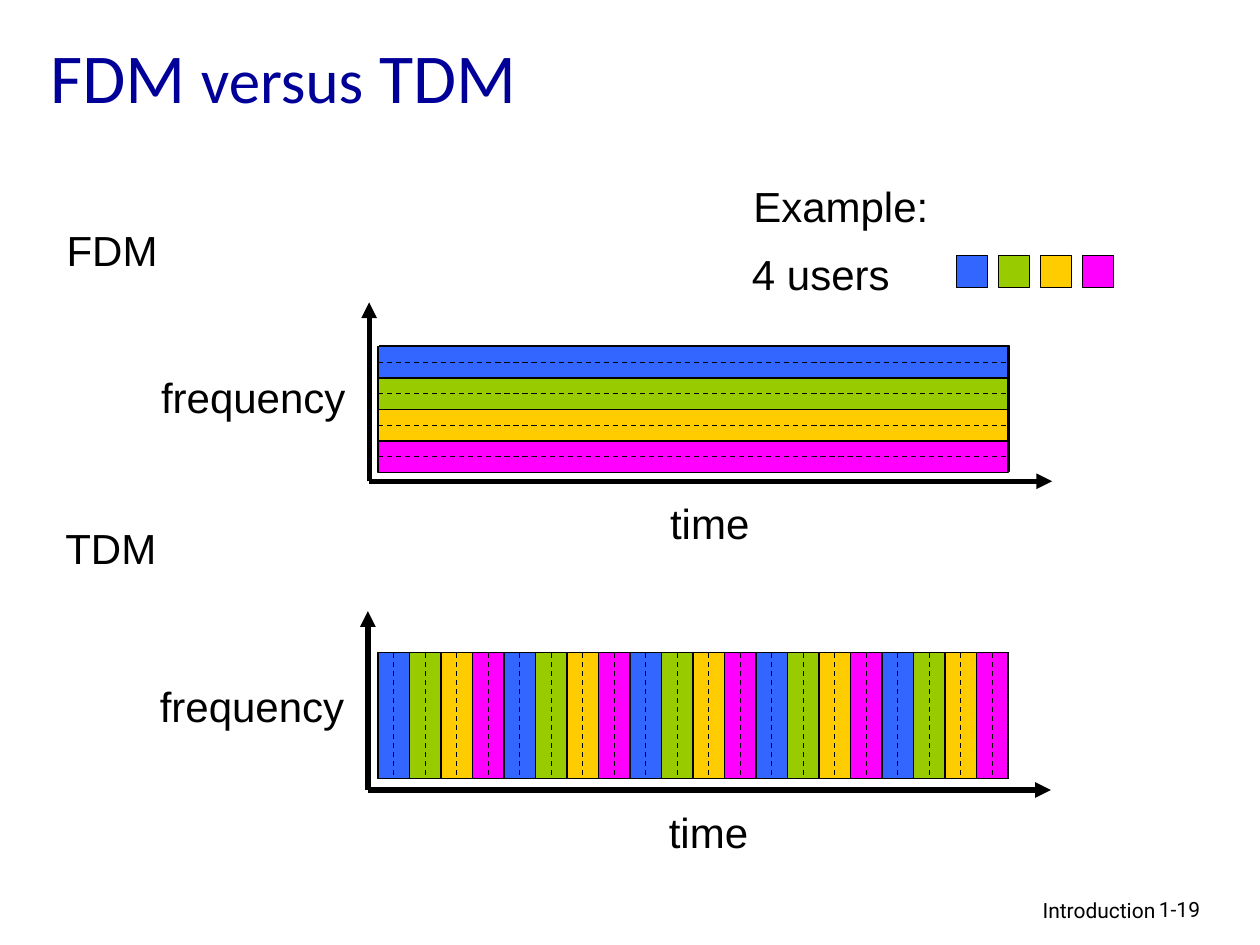
from dataclasses import dataclass

from lxml.etree import SubElement
from pptx import Presentation
from pptx.dml.color import RGBColor
from pptx.enum.dml import MSO_LINE
from pptx.enum.shapes import MSO_CONNECTOR, MSO_SHAPE
from pptx.enum.text import MSO_ANCHOR, PP_ALIGN
from pptx.oxml.ns import qn
from pptx.shapes.autoshape import Shape
from pptx.shapes.connector import Connector
from pptx.slide import Slide
from pptx.util import Inches, Pt

TOP, LEFT, BOTTOM, RIGHT = range(4)


@dataclass(frozen=True)
class Theme:
    ink: RGBColor = RGBColor(0x00, 0x00, 0x00)
    title: RGBColor = RGBColor(0x00, 0x00, 0x99)
    frame: RGBColor = RGBColor(0x00, 0xCC, 0x99)
    users: tuple[RGBColor, ...] = (
        RGBColor(0x33, 0x66, 0xFF),
        RGBColor(0x99, 0xCC, 0x00),
        RGBColor(0xFF, 0xCC, 0x00),
        RGBColor(0xFF, 0x00, 0xFF),
    )
    title_font: str = "Calibri"
    label_font: str = "Arial"
    footer_font: str = "Roboto"
    title_size: int = 40
    versus_size: int = 36
    label_size: int = 24
    footer_size: int = 12
    thin: float = 0.75
    axis: float = 3


THEME = Theme()


@dataclass(frozen=True)
class Area:
    left: float
    top: float
    width: float
    height: float


@dataclass(frozen=True)
class Diagram:
    """One multiplexing chart; the axes meet at (origin_x, origin_y)."""
    name: str
    heading_top: float
    origin_x: float
    origin_y: float
    frame: Area
    channels: Area
    count: int
    stacked: bool


DIAGRAMS = (
    Diagram("FDM", 1.73, 2.93, 3.82, Area(3.01, 2.74, 5, 1), Area(3, 2.75, 5, 1), 4, True),
    Diagram("TDM", 4.1, 2.92, 6.27, Area(3, 5.18, 5, 1), Area(3, 5.18, 5, 1), 20, False),
)


def add_text(slide: Slide, area: Area, text: str, font: str = THEME.label_font,
             size: int = THEME.label_size, color: RGBColor = THEME.ink,
             align: PP_ALIGN = PP_ALIGN.LEFT) -> Shape:
    box = slide.shapes.add_textbox(Inches(area.left), Inches(area.top),
                                   Inches(area.width), Inches(area.height))
    box.text_frame.word_wrap = True
    box.text_frame.text = text
    para = box.text_frame.paragraphs[0]
    para.alignment = align
    for span in para.runs:
        span.font.name = font
        span.font.size = Pt(size)
        span.font.color.rgb = color
    return box


def add_title(slide: Slide) -> None:
    box = add_text(slide, Area(0.3, 0.08, 9.26, 1.04), "FDM ",
                   THEME.title_font, THEME.title_size, THEME.title)
    box.text_frame.vertical_anchor = MSO_ANCHOR.MIDDLE
    para = box.text_frame.paragraphs[0]
    for text, size in (("versus", THEME.versus_size), (" TDM", THEME.title_size)):
        span = para.add_run()
        span.text = text
        span.font.name = THEME.title_font
        span.font.size = Pt(size)
        span.font.color.rgb = THEME.title


def add_block(slide: Slide, area: Area, color: RGBColor) -> Shape:
    block = slide.shapes.add_shape(MSO_SHAPE.RECTANGLE, Inches(area.left), Inches(area.top),
                                   Inches(area.width), Inches(area.height))
    block.shadow.inherit = False
    block.fill.solid()
    block.fill.fore_color.rgb = color
    block.line.color.rgb = THEME.ink
    block.line.width = Pt(THEME.thin)
    return block


def add_line(slide: Slide, x1: float, y1: float, x2: float, y2: float,
             width: float = THEME.thin) -> Connector:
    line = slide.shapes.add_connector(MSO_CONNECTOR.STRAIGHT, Inches(x1), Inches(y1),
                                      Inches(x2), Inches(y2))
    line.line.color.rgb = THEME.ink
    line.line.width = Pt(width)
    SubElement(line._element.spPr, qn("a:effectLst"))
    return line


def add_axis(slide: Slide, x1: float, y1: float, x2: float, y2: float) -> None:
    axis = add_line(slide, x1, y1, x2, y2, THEME.axis)
    SubElement(axis.line._get_or_add_ln(), qn("a:tailEnd"), type="triangle")


def add_center_line(slide: Slide, block: Shape, start: int, end: int) -> None:
    """Join the middles of two opposite sides of a block with a dashed line."""
    line = add_line(slide, 0, 0, 0, 0)
    line.line.dash_style = MSO_LINE.DASH
    line.begin_connect(block, start)
    line.end_connect(block, end)


def split(area: Area, count: int, stacked: bool) -> list[Area]:
    """Cut an area into equal rows (stacked) or columns."""
    if stacked:
        step = area.height / count
        return [Area(area.left, area.top + i * step, area.width, step) for i in range(count)]
    step = area.width / count
    return [Area(area.left + i * step, area.top, step, area.height) for i in range(count)]


def add_diagram(slide: Slide, diagram: Diagram) -> None:
    x, y = diagram.origin_x, diagram.origin_y
    add_text(slide, Area(x - 2.5, diagram.heading_top, 0.92, 0.5), diagram.name)
    add_text(slide, Area(x - 1.75, y - 0.92, 1.67, 0.5), "frequency")
    add_text(slide, Area(x + 2.29, y + 0.08, 0.83, 0.5), "time")
    add_axis(slide, x, y, x, y - 1.42)
    add_axis(slide, x, y, x + 5.42, y)
    add_block(slide, diagram.frame, THEME.frame)

    areas = split(diagram.channels, diagram.count, diagram.stacked)
    blocks = [add_block(slide, area, THEME.users[i % len(THEME.users)])
              for i, area in enumerate(areas)]
    for area in areas[1:]:
        if diagram.stacked:
            add_line(slide, area.left, area.top, area.left + area.width, area.top)
        else:
            add_line(slide, area.left, area.top, area.left, area.top + area.height)
    start, end = (LEFT, RIGHT) if diagram.stacked else (TOP, BOTTOM)
    for block in blocks:
        add_center_line(slide, block, start, end)


def add_legend(slide: Slide) -> None:
    add_text(slide, Area(5.88, 1.38, 1.59, 0.5), "Example:")
    add_text(slide, Area(5.87, 1.92, 1.3, 0.5), "4 users")
    for i, color in enumerate(THEME.users):
        add_block(slide, Area(7.59 + i / 3, 2.03, 0.25, 0.25), color)


def add_footer(slide: Slide) -> None:
    add_text(slide, Area(6.1, 7.07, 3.17, 0.31), "Introduction",
             THEME.footer_font, THEME.footer_size, align=PP_ALIGN.RIGHT)
    add_text(slide, Area(9.1, 7.07, 0.74, 0.3), "1-19",
             THEME.footer_font, THEME.footer_size)


def main() -> None:
    deck = Presentation()
    deck.slide_width, deck.slide_height = Inches(10), Inches(7.5)
    page = deck.slides.add_slide(deck.slide_layouts[6])
    add_title(page)
    for diagram in DIAGRAMS:
        add_diagram(page, diagram)
    add_legend(page)
    add_footer(page)
    deck.save("out.pptx")


if __name__ == "__main__":
    main()
